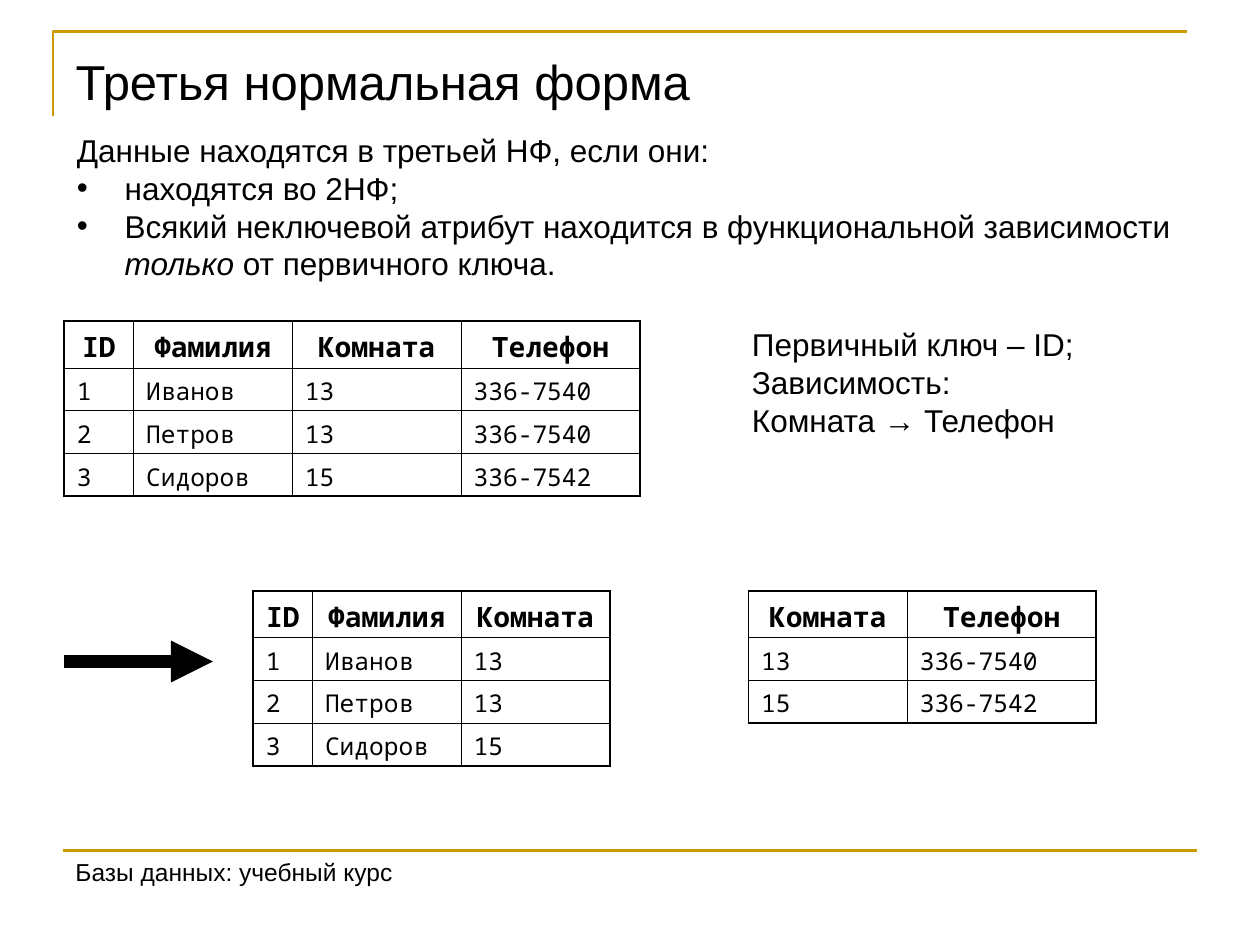
from dataclasses import dataclass

from lxml.etree import SubElement
from pptx import Presentation
from pptx.dml.color import RGBColor as Color
from pptx.enum.shapes import MSO_CONNECTOR as Connector
from pptx.enum.text import MSO_ANCHOR as Anchor
from pptx.enum.text import MSO_AUTO_SIZE as AutoSize
from pptx.enum.text import PP_ALIGN as Align
from pptx.oxml.ns import qn
from pptx.util import Inches, Pt


@dataclass(frozen=True)
class Theme:
    ink: str = "000000"
    accent: str = "CC9900"
    sans: str = "Arial"
    mono: str = "Noto Sans Mono"
    title: int = 28
    body: int = 18
    header: int = 16
    small: int = 14
    rule: float = 1.5
    arrow: float = 8
    outer: float = 1.08
    inner: float = 0.45
    columns: int = 100
    rows: int = 75


class SlideBuilder:
    def __init__(self, deck, theme):
        self.theme = theme
        self.page = deck.slides.add_slide(deck.slide_layouts[1])
        self.column = deck.slide_width / theme.columns
        self.row = deck.slide_height / theme.rows

    def x(self, columns):
        return round(columns * self.column)

    def y(self, rows):
        return round(rows * self.row)

    def place(self, box, left, top, width, height):
        box.left, box.top = self.x(left), self.y(top)
        box.width, box.height = self.x(width), self.y(height)

    def style(self, para, size, family, bold=False):
        for span in para.runs:
            span.font.size = Pt(size)
            span.font.name = family
            span.font.bold = bold
            span.font.color.rgb = Color.from_string(self.theme.ink)
        for line_break in para._p.findall(qn("a:br")):
            SubElement(line_break, qn("a:rPr"), sz=str(size * 100))

    def stroke(self, shape, colour, width):
        shape.line.color.rgb = Color.from_string(colour)
        shape.line.width = Pt(width)

    def title(self, text, *area):
        box = self.page.shapes.title
        self.place(box, *area)
        frame = box.text_frame
        frame.text = text
        frame.vertical_anchor = Anchor.MIDDLE
        frame.auto_size = AutoSize.NONE
        para = frame.paragraphs[0]
        para.alignment = Align.LEFT
        self.style(para, self.theme.title, self.theme.sans)

    def fit(self, frame):
        frame.word_wrap = False
        frame.auto_size = AutoSize.SHAPE_TO_FIT_TEXT

    def bullets(self, intro, items, *area):
        box = self.page.placeholders[1]
        self.place(box, *area)
        frame = box.text_frame
        self.fit(frame)
        frame.vertical_anchor = Anchor.TOP
        indent = Inches(0.38)
        for number, parts in enumerate([(intro,), *items]):
            para = frame.add_paragraph() if number else frame.paragraphs[0]
            para.text = parts[0]
            for position, part in enumerate(parts[1:]):
                span = para.add_run()
                span.text = part
                span.font.italic = position == 0
            para.space_before = Pt(0)
            para.alignment = Align.LEFT
            settings = para._p.get_or_add_pPr()
            settings.set("marL", str(indent))
            settings.set("indent", str(-indent))
            if number:
                SubElement(settings, qn("a:buFont"), typeface=self.theme.sans)
                SubElement(settings, qn("a:buChar"), char="•")
            else:
                SubElement(settings, qn("a:buNone"))
            self.style(para, self.theme.body, self.theme.sans)

    def text(self, lines, size, left, top, width, height):
        box = self.page.shapes.add_textbox(
            self.x(left), self.y(top), self.x(width), self.y(height))
        frame = box.text_frame
        self.fit(frame)
        frame.text = "\n".join(lines)
        for para in frame.paragraphs:
            self.style(para, size, self.theme.sans)

    def frame(self, points):
        start, *rest = [(self.x(left), self.y(top)) for left, top in points]
        outline = self.page.shapes.build_freeform(*start, scale=1.0)
        outline.add_line_segments(rest, close=False)
        shape = outline.convert_to_shape()
        shape.shadow.inherit = False
        shape.fill.background()
        self.stroke(shape, self.theme.accent, self.theme.rule)

    def line(self, left, right, level, colour, width, arrow=False):
        line = self.page.shapes.add_connector(
            Connector.STRAIGHT, self.x(left), self.y(level), self.x(right), self.y(level))
        self.stroke(line, colour, width)
        settings = line.element.spPr
        if arrow:
            SubElement(settings.find(qn("a:ln")), qn("a:tailEnd"), type="triangle")
        SubElement(settings, qn("a:effectLst"))

    def border(self, cell, side, outer):
        width = Pt(self.theme.outer if outer else self.theme.inner)
        line = SubElement(cell._tc.get_or_add_tcPr(), qn(f"a:ln{side}"), w=str(width))
        fill = SubElement(line, qn("a:solidFill"))
        SubElement(fill, qn("a:srgbClr"), val=self.theme.ink)

    def table(self, records, widths, left, top):
        heights = [3.7] + [3.4] * (len(records) - 1)
        table = self.page.shapes.add_table(
            len(records), len(widths), self.x(left), self.y(top),
            self.x(sum(widths)), self.y(sum(heights))).table
        table.first_row = table.horz_banding = False
        for column, width in zip(table.columns, widths):
            column.width = self.x(width)
        for row, height in zip(table.rows, heights):
            row.height = self.y(height)
        for i, record in enumerate(records):
            for j, value in enumerate(record):
                cell = table.cell(i, j)
                cell.text = value
                cell.margin_top, cell.margin_bottom = Inches(0.05), Inches(0.02)
                para = cell.text_frame.paragraphs[0]
                para.alignment = Align.LEFT if i else Align.CENTER
                size = self.theme.small if i else self.theme.header
                self.style(para, size, self.theme.mono, bold=not i)
                edges = {"L": j == 0, "R": j == len(widths) - 1,
                         "T": i == 0, "B": i == len(records) - 1}
                for side, outer in edges.items():
                    self.border(cell, side, outer)
                cell.fill.background()


def main():
    deck = Presentation()
    deck.slide_width, deck.slide_height = Inches(10), Inches(7.5)
    theme = Theme()
    slide = SlideBuilder(deck, theme)

    slide.frame([(4.2, 9.2), (4.2, 2.5), (94.2, 2.5)])
    slide.line(5, 95, 67.5, theme.accent, theme.rule)
    slide.title("Третья нормальная форма", 5, 3, 90, 6.9)
    slide.text(["Базы данных: учебный курс"], theme.small, 5, 67.5, 27.2, 3.4)
    slide.bullets(
        "Данные находятся в третьей НФ, если они:",
        [("находятся во 2НФ;",),
         ("Всякий неключевой атрибут находится в функциональной зависимости\v",
          "только", " от первичного ключа.")],
        5.1, 9.9, 89.1, 13)
    slide.text(["Первичный ключ – ID;", "Зависимость:\vКомната → Телефон"],
               theme.body, 58.7, 25.3, 27.6, 10)

    people = [("ID", "Фамилия", "Комната", "Телефон"),
              ("1", "Иванов", "13", "336-7540"),
              ("2", "Петров", "13", "336-7540"),
              ("3", "Сидоров", "15", "336-7542")]
    rooms = [people[0][2:], people[1][2:], people[3][2:]]
    slide.table(people, [5.5, 12.6, 13.4, 14.2], 5.1, 25.5)
    slide.table([person[:3] for person in people], [4.7, 11.8, 11.8], 20.1, 46.9)
    slide.table(rooms, [12.6, 15], 59.4, 46.9)
    slide.line(5.1, 16.9, 52.5, theme.ink, theme.arrow, arrow=True)

    deck.save("out.pptx")


if __name__ == "__main__":
    main()
